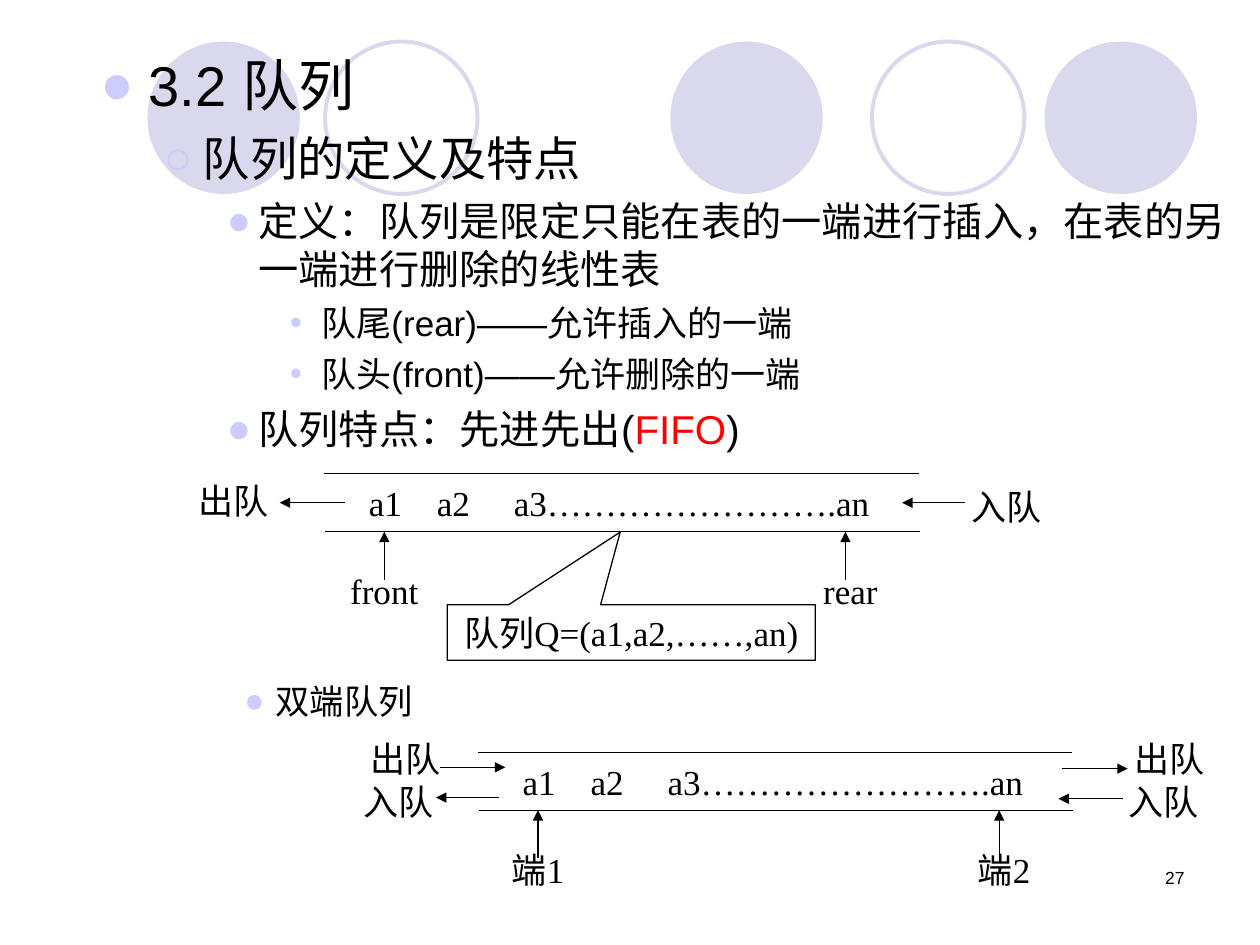
from dataclasses import dataclass

from lxml.etree import SubElement
from pptx import Presentation
from pptx.dml.color import RGBColor as Rgb
from pptx.enum.shapes import MSO_CONNECTOR as Link, MSO_SHAPE as Kind
from pptx.enum.text import MSO_ANCHOR as Anchor, MSO_AUTO_SIZE as Fit, PP_ALIGN as Align
from pptx.oxml.ns import qn
from pptx.util import Pt

SCALE = 9144  # EMU in one px, 100 px to the inch


@dataclass(frozen=True)
class Theme:
    ink: Rgb = Rgb(0, 0, 0)
    alert: Rgb = Rgb(255, 0, 0)
    disc: Rgb = Rgb(0xD9, 0xD8, 0xEC)
    dot: str = "CCCCFF"
    sans: str = "Arial"
    serif: str = "Times New Roman"
    label: int = 20
    item: float = 19.6
    page: int = 10
    thin: float = 0.75
    ring: float = 2.25


THEME = Theme()

# level: (size, space before, left margin, hanging indent, bullet)
LEVELS = [
    (32, 8, 38, 38, "●"),
    (27, 6.8, 81, 31, "○"),
    (23, 5.8, 125, 25, "●"),
    (20, 5, 175, 25, "•"),
]
OUTLINE = [
    (0, ["3.2 队列"]),
    (1, ["队列的定义及特点"]),
    (2, ["定义：队列是限定只能在表的一端进行插入，在表的另一端进行删除的线性表"]),
    (3, ["队尾(rear)——允许插入的一端"]),
    (3, ["队头(front)——允许删除的一端"]),
    (2, ["队列特点：先进先出(", "FIFO", ")"]),
]
# gate: label, label left and top, arrow from x, to x, y
SINGLE = [
    ("出队", -111, -1, 17, -35, 23),
    ("入队", 502, 4, 509, 459, 23),
]
DOUBLE = [
    ("出队", -97, -17, -30, 22, 12),
    ("入队", -102, 17, 17, -33, 36),
    ("出队", 510, -17, 464, 516, 13),
    ("入队", 505, 17, 512, 461, 37),
]


def px(*nums):
    return [round(n * SCALE) for n in nums]


def style(para, size, face):
    font = para.font
    font.size, font.name = Pt(size), face
    font.color.rgb = THEME.ink


def bullet(para, level, size=None):
    """Give a paragraph the indent, bullet and type of its outline level."""
    base, gap, left, hang, mark = LEVELS[level]
    para.level = level
    para.space_before = Pt(gap)
    props = para._p.get_or_add_pPr()
    margin, indent = px(left, -hang)
    props.set("marL", str(margin))
    props.set("indent", str(indent))
    tint = SubElement(props, qn("a:buClr"))
    SubElement(tint, qn("a:srgbClr"), val=THEME.dot)
    SubElement(props, qn("a:buFont"), typeface=THEME.sans)
    SubElement(props, qn("a:buChar"), char=mark)
    style(para, size or base, THEME.sans)


def label(slide, text, box, align=Align.CENTER, stops=()):
    frame = slide.shapes.add_textbox(*px(*box)).text_frame
    frame.word_wrap = bool(stops)
    frame.auto_size = Fit.SHAPE_TO_FIT_TEXT
    frame.vertical_anchor = Anchor.MIDDLE
    frame.text = text
    para = frame.paragraphs[0]
    para.alignment = align
    if stops:
        tabs = SubElement(para._p.get_or_add_pPr(), qn("a:tabLst"))
        for stop in px(*stops):
            SubElement(tabs, qn("a:tab"), pos=str(stop), algn="l")
    style(para, THEME.label, THEME.serif)


def line(slide, ends, arrow=False):
    link = slide.shapes.add_connector(Link.STRAIGHT, *px(*ends))
    link.line.color.rgb = THEME.ink
    link.line.width = Pt(THEME.thin)
    if arrow:
        SubElement(link.line._get_or_add_ln(), qn("a:tailEnd"), type="triangle")
    SubElement(link._element.spPr, qn("a:effectLst"))


def discs(slide, top, size):
    for left, solid in [(532, 1), (829, 1), (117, 1), (692, 0), (258, 0)]:
        disc = slide.shapes.add_shape(Kind.OVAL, *px(left, top, size, size))
        disc.shadow.inherit = False
        if solid:
            disc.fill.solid()
            disc.fill.fore_color.rgb = THEME.disc
            disc.line.fill.background()
        else:
            disc.fill.background()
            disc.line.color.rgb = THEME.disc
            disc.line.width = Pt(THEME.ring)


def outline(slide, body, box):
    body.left, body.top, body.width, body.height = px(*box)
    slide.shapes._spTree.append(body._element)  # in front of the discs
    frame = body.text_frame
    frame.auto_size = Fit.NONE
    for num, (level, parts) in enumerate(OUTLINE):
        para = frame.add_paragraph() if num else frame.paragraphs[0]
        bullet(para, level)
        for part in parts:
            run = para.add_run()
            run.text = part
            if part == "FIFO":
                run.font.color.rgb = THEME.alert


def queue(slide, x, y, ends, gates):
    """Draw a queue between two rails, with its end pointers and gates."""
    for dx, dy in [(0, 0), (1, 46)]:
        line(slide, (x + dx, y + dy, x + dx + 472, y + dy))
    label(slide, "a1\ta2\ta3…………………….an", (x + 26, y + 1, 430, 44),
          Align.LEFT, (54, 115))
    for text, tip, mid in zip(ends, (48, 414), (48, 418)):
        line(slide, (x + tip, y + 84, x + tip, y + 46), True)
        label(slide, text, (x + mid - 37, y + 71, 74, 44))
    for text, left, top, start, end, level in gates:
        line(slide, (x + start, y + level, x + end, y + level), True)
        label(slide, text, (x + left, y + top, 79, 44))


def callout(slide, box):
    note = slide.shapes.add_shape(Kind.RECTANGULAR_CALLOUT, *px(*box))
    note.shadow.inherit = False
    note.adjustments[0], note.adjustments[1] = -0.03, -1.81
    note.fill.background()
    note.line.color.rgb = THEME.ink
    note.line.width = Pt(THEME.thin)
    frame = note.text_frame
    frame.word_wrap = False
    frame.vertical_anchor = Anchor.MIDDLE
    frame.text = "队列Q=(a1,a2,……,an)"
    para = frame.paragraphs[0]
    para.alignment = Align.CENTER
    style(para, THEME.label, THEME.serif)


def item(slide, text, box):
    frame = slide.shapes.add_textbox(*px(*box)).text_frame
    frame.word_wrap = True
    frame.text = text
    bullet(frame.paragraphs[0], 2, THEME.item)


def number(slide, text, box):
    frame = slide.shapes.add_textbox(*px(*box)).text_frame
    frame.word_wrap = True
    frame.text = text
    para = frame.paragraphs[0]
    para.alignment = Align.RIGHT
    style(para, THEME.page, THEME.sans)


def main():
    deck = Presentation()
    deck.slide_width, deck.slide_height = px(1000, 750)
    slide = deck.slides.add_slide(deck.slide_layouts[1])
    title = slide.shapes.title._element
    title.getparent().remove(title)
    discs(slide, 33, 121)
    outline(slide, slide.placeholders[1], (70, 35, 930, 339))
    queue(slide, 257, 376, ("front", "rear"), SINGLE)
    callout(slide, (355, 480, 292, 44))
    item(slide, "双端队列", (84, 535, 290, 44))
    queue(slide, 379, 597, ("端1", "端2"), DOUBLE)
    number(slide, "27", (717, 683, 233, 50))
    deck.save("out.pptx")


if __name__ == "__main__":
    main()
